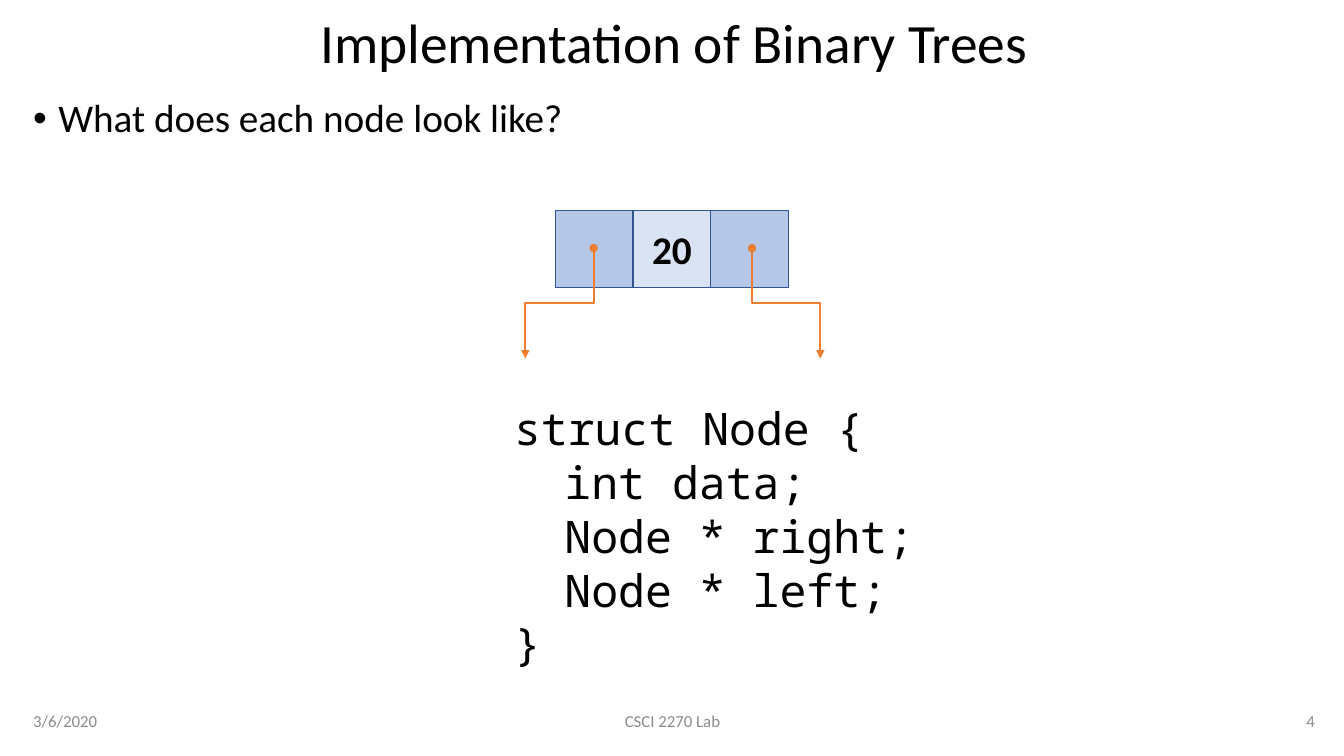
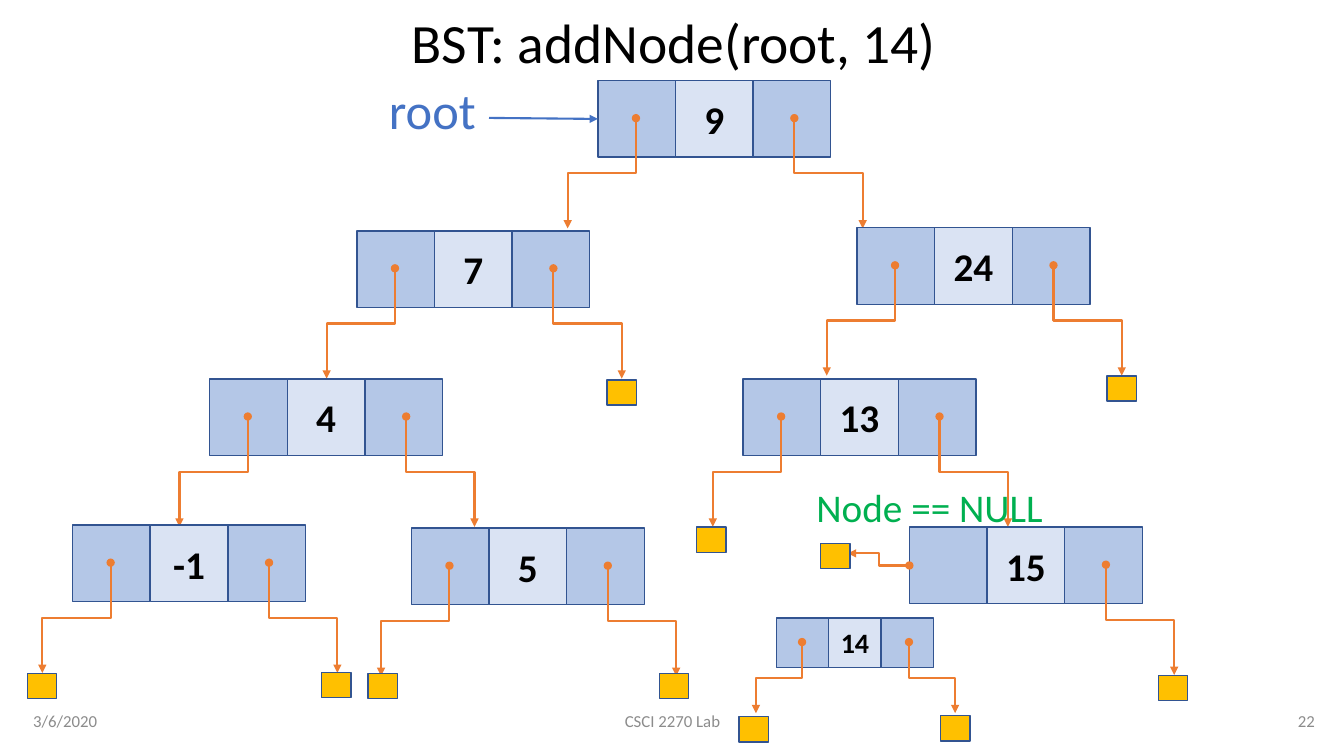
from lxml import etree
from pptx import Presentation
from pptx.dml.color import RGBColor
from pptx.enum import shapes, text
from pptx.oxml.ns import qn
from pptx.util import Inches, Pt

BLACK, GRAY, BLUE, GREEN = "000000", "8C8C8C", "4472C4", "00B050"
LINK_FILL, DATA_FILL, NULL_FILL = "B4C7E7", "DAE3F3", "FFC000"
OUTLINE, POINTER = "325491", "ED7D31"
LEFT, CENTER, RIGHT = text.PP_ALIGN.LEFT, text.PP_ALIGN.CENTER, text.PP_ALIGN.RIGHT
TOP, MIDDLE = text.MSO_ANCHOR.TOP, text.MSO_ANCHOR.MIDDLE

DATE, COURSE = "3/6/2020", "CSCI 2270 Lab"
QUESTION = "What does each node look like?"
STRUCT = ["struct Node {", "\tint data;", "\tNode * right;", "\tNode * left;", "}"]

LARGE = {"width": 0.77, "height": 0.76, "size": 28}
SMALL = {"width": 0.52, "height": 0.49, "size": 20}
BOTH_LINKS, RIGHT_LINK = (-1, 1), (1,)
TREE_NODES = [
    ("9", 5.93, 0.8, LARGE, BOTH_LINKS),
    ("7", 3.54, 2.29, LARGE, BOTH_LINKS),
    ("24", 8.5, 2.26, LARGE, BOTH_LINKS),
    ("4", 2.08, 3.76, LARGE, BOTH_LINKS),
    ("5", 4.08, 5.24, LARGE, BOTH_LINKS),
    ("13", 7.37, 3.76, LARGE, BOTH_LINKS),
    ("15", 9.02, 5.23, LARGE, RIGHT_LINK),
    ("-1", 0.72, 5.21, LARGE, BOTH_LINKS),
    ("14", 7.7, 6.13, SMALL, BOTH_LINKS),
]
NULL_BOXES = [
    (10.98, 3.73), (6.02, 3.77), (6.91, 5.23), (6.54, 6.68), (0.27, 6.68), (3.19, 6.67),
    (11.49, 6.7), (3.65, 6.68), (9.33, 7.1), (7.33, 7.11), (8.14, 5.39),
]


def color(value):
    return RGBColor.from_string(value)


def style_font(paragraph, size, ink, name="Calibri", bold=False):
    paragraph.font.size = Pt(size)
    paragraph.font.name = name
    paragraph.font.bold = bold
    paragraph.font.color.rgb = color(ink)


def add_bullet(paragraph):
    properties = paragraph._p.get_or_add_pPr()
    properties.set("marL", str(Inches(0.25)))
    properties.set("indent", str(Inches(-0.25)))
    etree.SubElement(properties, qn("a:buFont")).set("typeface", "Arial")
    etree.SubElement(properties, qn("a:buChar")).set("char", "•")


def add_text(slide, box, lines, size, ink=BLACK, name="Calibri", align=LEFT,
             anchor=TOP, wrap=True, spacing=None, before=None, bullet=False):
    frame = slide.shapes.add_textbox(*map(Inches, box)).text_frame
    frame.word_wrap = wrap
    frame.vertical_anchor = anchor
    for index, line in enumerate(lines):
        paragraph = frame.add_paragraph() if index else frame.paragraphs[0]
        paragraph.text = line
        paragraph.alignment = align
        if spacing:
            paragraph.line_spacing = spacing
        if before:
            paragraph.space_before = Pt(before)
        if bullet:
            add_bullet(paragraph)
        style_font(paragraph, size, ink, name)


def add_box(parent, box, fill):
    shape = parent.shapes.add_shape(shapes.MSO_SHAPE.RECTANGLE, *map(Inches, box))
    shape.shadow.inherit = False
    shape.fill.solid()
    shape.fill.fore_color.rgb = color(fill)
    shape.line.color.rgb = color(OUTLINE)
    shape.line.width = Pt(1)
    return shape


def add_arrow(parent, kind, start, end, ink, head=None):
    connector = parent.shapes.add_connector(kind, *map(Inches, (*start, *end)))
    connector.line.color.rgb = color(ink)
    connector.line.width = Pt(1.5)
    line = connector.line._get_or_add_ln()
    if head:
        etree.SubElement(line, qn("a:headEnd")).set("type", head)
    etree.SubElement(line, qn("a:tailEnd")).set("type", "triangle")
    etree.SubElement(connector._element.spPr, qn("a:effectLst"))
    return connector


def add_pointer(parent, start, side, across, drop):
    center_x, center_y = start[0] + side * across / 2, start[1] + drop / 2
    first = center_x + side * drop / 2, center_y - across / 2
    last = center_x - side * drop / 2, center_y + across / 2
    connector = add_arrow(parent, shapes.MSO_CONNECTOR.ELBOW, first, last, POINTER, "oval")
    angle = 270 if side > 0 else 90
    connector._element.spPr.find(qn("a:xfrm")).set("rot", str(angle * 60000))


def add_node(slide, value, left, top, scale, links):
    width, height = scale["width"], scale["height"]
    group = slide.shapes.add_group_shape()
    for column, fill in enumerate((LINK_FILL, DATA_FILL, LINK_FILL)):
        cell = add_box(group, (left + column * width, top, width, height), fill)
        if column == 1:
            frame = cell.text_frame
            frame.margin_left = frame.margin_right = 0
            frame.vertical_anchor = MIDDLE
            paragraph = frame.paragraphs[0]
            paragraph.text = value
            paragraph.alignment = CENTER
            style_font(paragraph, scale["size"], BLACK, bold=True)
    for side in links:
        start = left + (1.51 + 1.02 * side) * width, top + 0.49 * height
        add_pointer(group, start, side, 0.88 * width, 1.44 * height)


def add_slide(presentation, title, number):
    slide = presentation.slides.add_slide(presentation.slide_layouts[6])
    add_text(slide, (0.23, 0.15, 12.91, 0.6), [title], 39.6,
             align=CENTER, anchor=MIDDLE, spacing=0.9)
    footers = [(DATE, 0.23, 3, LEFT), (COURSE, 4.42, 4.5, CENTER), (number, 10.14, 3, RIGHT)]
    for label, left, width, align in footers:
        add_text(slide, (left, 6.95, width, 0.4), [label], 12, GRAY, align=align, anchor=MIDDLE)
    return slide


def add_struct_slide(presentation):
    slide = add_slide(presentation, "Implementation of Binary Trees", "4")
    add_text(slide, (0.23, 0.93, 12.91, 5.83), [QUESTION], 28,
             spacing=0.9, before=10, bullet=True)
    add_node(slide, "20", 5.51, 2.09, LARGE, BOTH_LINKS)
    add_text(slide, (5, 3.93, 4.78, 2.79), STRUCT, 32, name="Noto Sans Mono")


def add_tree_slide(presentation):
    slide = add_slide(presentation, "BST: addNode(root, 14)", "22")
    for node in TREE_NODES:
        add_node(slide, *node)
    add_arrow(slide, shapes.MSO_CONNECTOR.ELBOW, (9.02, 5.61), (8.41, 5.49), POINTER, "oval")
    for left, top in NULL_BOXES:
        add_box(slide, (left, top, 0.29, 0.25), NULL_FILL)
    add_arrow(slide, shapes.MSO_CONNECTOR.STRAIGHT, (4.85, 1.17), (5.93, 1.18), BLUE)
    add_text(slide, (3.76, 0.74, 1.23, 0.71), ["root"], 36, BLUE)
    add_text(slide, (8, 4.75, 2.47, 0.57), ["Node == NULL"], 28, GREEN, wrap=False)


def main():
    presentation = Presentation()
    presentation.slide_width = Inches(13.33)
    presentation.slide_height = Inches(7.5)
    add_struct_slide(presentation)
    add_tree_slide(presentation)
    presentation.save("out.pptx")


if __name__ == "__main__":
    main()
